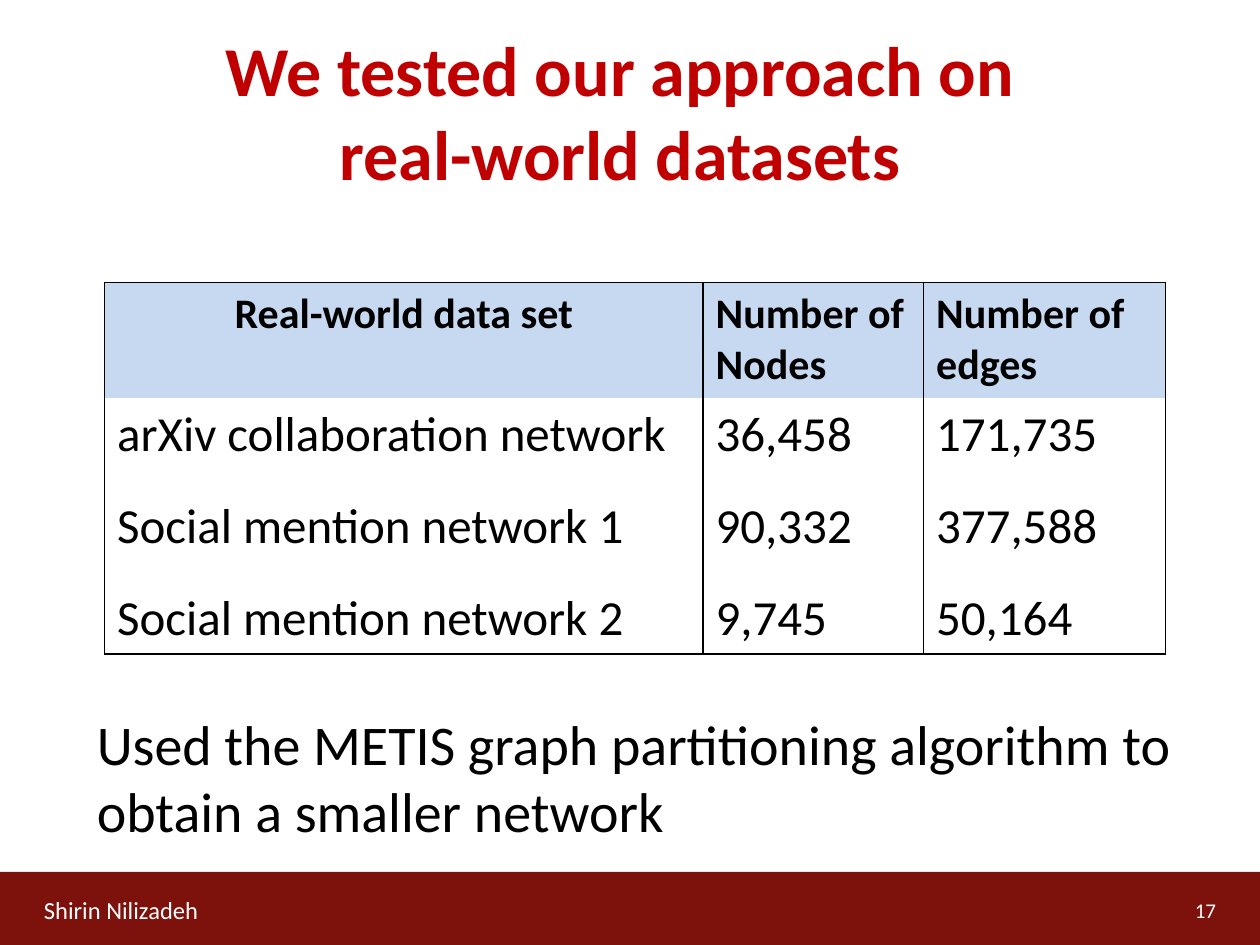
from lxml.etree import SubElement
from pptx import Presentation
from pptx.dml.color import RGBColor as Rgb
from pptx.enum.shapes import MSO_SHAPE as Shape
from pptx.enum.text import MSO_ANCHOR as Anchor, PP_ALIGN as Align
from pptx.oxml.ns import qn
from pptx.util import Inches, Pt

COLORS = {
    "title": "C00000",
    "band": "7D110C",
    "header": "C6D9F1",
    "text": "000000",
    "light": "FFFFFF",
}
FONT = "Calibri"
WIDTH, HEIGHT = 10, 7.5
BAND_TOP = 6.92
COLUMNS = (4.75, 1.75, 1.92)
ROWS = (0.92, 0.73, 0.73, 0.57)
DATA = (
    ("Real-world data set", "Number of Nodes", "Number of edges"),
    ("arXiv collaboration network", "36,458", "171,735"),
    ("Social mention network 1", "90,332", "377,588"),
    ("Social mention network 2", "9,745", "50,164"),
)


def color(name):
    """Return the named colour."""
    return Rgb.from_string(COLORS[name])


def write(frame, text, size, ink="text", bold=False, align=Align.LEFT, anchor=Anchor.TOP):
    """Put formatted text into a text frame."""
    frame.word_wrap = True
    frame.vertical_anchor = anchor
    para = frame.paragraphs[0]
    para.text = text
    para.alignment = align
    for span in para.runs:
        font = span.font
        font.name, font.size, font.bold = FONT, Pt(size), bold
        font.color.rgb = color(ink)


def place(shape, left, top, width, height):
    """Move and size a shape, in inches."""
    shape.left, shape.top = Inches(left), Inches(top)
    shape.width, shape.height = Inches(width), Inches(height)


def add_title(page, text):
    """Format the title placeholder."""
    title = page.shapes.title
    place(title, 0.17, 0.17, 9.5, 1.42)
    write(title.text_frame, text, 40, ink="title", bold=True,
          align=Align.CENTER, anchor=Anchor.MIDDLE)


def add_text(page, area, text, size, **style):
    """Add a text box over an area given in inches."""
    box = page.shapes.add_textbox(*map(Inches, area))
    write(box.text_frame, text, size, **style)


def add_footer(page, author, number):
    """Add the bottom band with the author and the page number."""
    band = page.shapes.add_shape(Shape.RECTANGLE, 0, Inches(BAND_TOP),
                                 Inches(WIDTH), Inches(HEIGHT - BAND_TOP))
    band.shadow.inherit = False
    band.fill.solid()
    band.fill.fore_color.rgb = color("band")
    band.line.fill.background()
    style = {"ink": "light", "anchor": Anchor.MIDDLE}
    add_text(page, (0.25, 7.02, 1.75, 0.4), author, 14, **style)
    add_text(page, (7.42, 7.02, 2.33, 0.4), number, 12, align=Align.RIGHT, **style)


def set_borders(cell, shown):
    """Draw the shown sides of a cell and clear the others."""
    properties = cell._tc.get_or_add_tcPr()
    for side in "LRTB":
        line = SubElement(properties, qn(f"a:ln{side}"), w=str(Pt(1)))
        if side in shown:
            fill = SubElement(line, qn("a:solidFill"))
            SubElement(fill, qn("a:srgbClr"), val=COLORS["text"])
        else:
            SubElement(line, qn("a:noFill"))


def add_data_table(page, left, top):
    """Add the table of data sets."""
    frame = page.shapes.add_table(len(ROWS), len(COLUMNS), Inches(left), Inches(top),
                                  Inches(sum(COLUMNS)), Inches(sum(ROWS)))
    table = frame.table
    table.horz_banding = False
    for column, width in zip(table.columns, COLUMNS):
        column.width = Inches(width)
    for index, (row, height) in enumerate(zip(table.rows, ROWS)):
        row.height = Inches(height)
        header, last = index == 0, index == len(ROWS) - 1
        for position, (cell, text) in enumerate(zip(row.cells, DATA[index])):
            set_borders(cell, "LR" + "T" * header + "B" * last)
            if header:
                cell.fill.solid()
                cell.fill.fore_color.rgb = color("header")
            else:
                cell.fill.background()
            centred = header and position == 0
            write(cell.text_frame, text, 24 if header else 28, bold=header,
                  align=Align.CENTER if centred else Align.LEFT)


def main():
    """Build and save the slide."""
    deck = Presentation()
    deck.slide_width, deck.slide_height = Inches(WIDTH), Inches(HEIGHT)
    page = deck.slides.add_slide(deck.slide_layouts[5])
    add_footer(page, "Shirin Nilizadeh", "17")
    add_title(page, "We tested our approach on\vreal-world datasets")
    add_data_table(page, 0.83, 2.24)
    add_text(page, (0.67, 5.58, 9, 1.5),
             "Used the METIS graph partitioning algorithm to obtain a smaller network", 32)
    deck.save("out.pptx")


if __name__ == "__main__":
    main()
